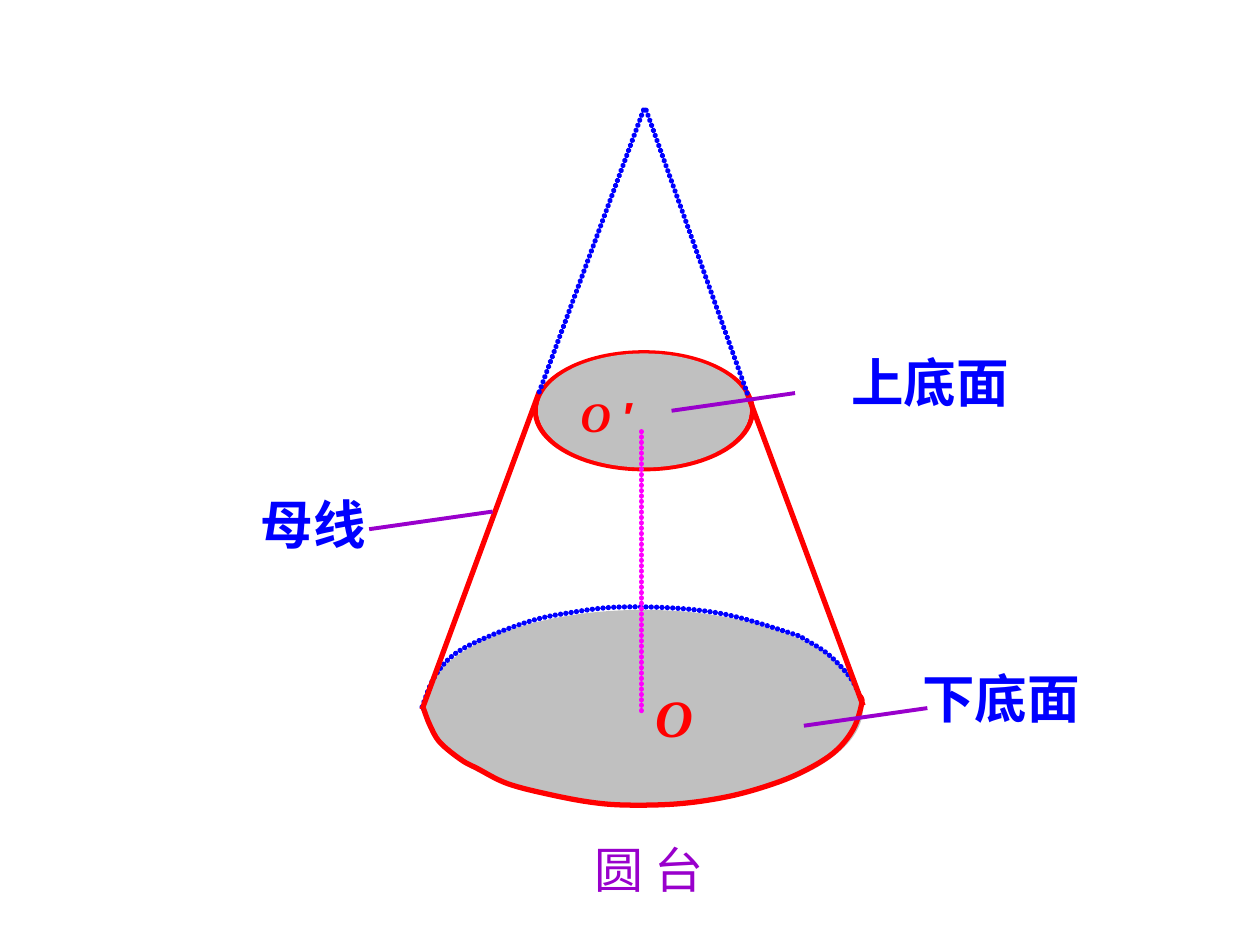
from lxml.etree import SubElement
from pptx import Presentation
from pptx.dml.color import RGBColor
from pptx.enum.shapes import MSO_CONNECTOR, MSO_SHAPE
from pptx.enum.text import MSO_AUTO_SIZE, PP_ALIGN
from pptx.oxml.ns import qn
from pptx.util import Inches, Pt

COLORS = {"red": "FF0000", "blue": "0000FF", "magenta": "FF00FF",
          "purple": "9900CC", "gray": "C0C0C0"}
COLS, ROWS = 100, 75


def smooth(sp):
    """Turn the segments of a freeform into Bezier curves through its points."""
    path = sp._element.find(".//" + qn("a:path"))
    pts = [(int(pt.get("x")), int(pt.get("y"))) for pt in path.iter(qn("a:pt"))]
    for segment in path.findall(qn("a:lnTo")):
        path.remove(segment)
    ends = [pts[0], *pts, pts[-1]]
    for a, b, c, d in zip(ends, ends[1:], ends[2:], ends[3:]):
        bezier = SubElement(path, qn("a:cubicBezTo"))
        leave = [q + (r - p) / 6 for p, q, r in zip(a, b, c)]
        arrive = [q - (r - p) / 6 for p, q, r in zip(b, c, d)]
        for x, y in (leave, arrive, c):
            SubElement(bezier, qn("a:pt"), x=str(round(x)), y=str(round(y)))


class Drawing:
    """Current slide and style; lengths are columns and rows of the grid."""

    font = "Times New Roman"

    def __init__(self, prs):
        self.slide = prs.slides.add_slide(prs.slide_layouts[6])
        self.shapes = self.slide.shapes
        self.col = prs.slide_width / COLS
        self.row = prs.slide_height / ROWS

    def place(self, x, y):
        return round(x * self.col), round(y * self.row)

    def style_line(self, sp, color, width=3, dotted=False):
        sp.line.color.rgb = RGBColor.from_string(COLORS[color])
        sp.line.width = Pt(width)
        if dotted:
            ln = sp.line._get_or_add_ln()
            ln.set("cap", "rnd")
            dash = SubElement(ln, qn("a:custDash"))
            SubElement(dash, qn("a:ds"), d="100000", sp="2000")

    def ellipse(self, x, y, w, h, fill=None, line=None):
        sp = self.shapes.add_shape(MSO_SHAPE.OVAL, *self.place(x, y), *self.place(w, h))
        sp.shadow.inherit = False
        if fill:
            sp.fill.solid()
            sp.fill.fore_color.rgb = RGBColor.from_string(COLORS[fill])
        else:
            sp.fill.background()
        if line:
            self.style_line(sp, line)
        else:
            sp.line.fill.background()

    def curve(self, anchors, color, dotted=False):
        start, *rest = [self.place(*pt) for pt in anchors]
        builder = self.shapes.build_freeform(*start)
        builder.add_line_segments(rest, close=False)
        sp = builder.convert_to_shape()
        smooth(sp)
        sp.shadow.inherit = False
        sp.fill.background()
        self.style_line(sp, color, dotted=dotted)

    def line(self, start, end, color, width=3, dotted=False):
        sp = self.shapes.add_connector(
            MSO_CONNECTOR.STRAIGHT, *self.place(*start), *self.place(*end))
        self.style_line(sp, color, width, dotted)
        SubElement(sp._element.spPr, qn("a:effectLst"))

    def leader(self, x, y):
        self.line((x, y), (x - 9.8, y + 1.4), "purple", 2.25)

    def text(self, x, y, w, h, runs, size, color, bold=True, italic=False, align=PP_ALIGN.LEFT):
        sp = self.shapes.add_textbox(*self.place(x, y), *self.place(w, h))
        tf = sp.text_frame
        tf.word_wrap = True
        tf.auto_size = MSO_AUTO_SIZE.SHAPE_TO_FIT_TEXT
        p = tf.paragraphs[0]
        p.alignment = align
        for words, font in runs:
            r = p.add_run()
            r.text = words
            r.font.name = font
            r.font.size = Pt(size)
            r.font.bold = bold
            r.font.italic = italic
            r.font.color.rgb = RGBColor.from_string(COLORS[color])


def main():
    prs = Presentation()
    prs.slide_width, prs.slide_height = Inches(10), Inches(7.5)
    s = Drawing(prs)

    # Upper and lower bases
    s.ellipse(42.5, 28, 17.2, 9.2, line="red")
    s.ellipse(42.7, 28.05, 16.8, 9.05, fill="gray")
    s.ellipse(33.6, 48.4, 34.9, 15.5, fill="gray")

    # Rim of the lower base: visible front, hidden back
    s.curve([(33.6, 56.2), (34.1, 57.5), (34.9, 58.9), (36.6, 60.3), (37.9, 61),
             (40.3, 62.2), (43.8, 63.1), (47.1, 63.7), (49.9, 63.9), (53.8, 63.8),
             (57.4, 63.3), (60.5, 62.5), (63.4, 61.4), (66.1, 59.8), (67.7, 57.9),
             (68.4, 55.8), (68.2, 55.2)], "red")
    s.curve([(33.5, 56.1), (34.5, 53.7), (36.1, 51.9), (38.8, 50.5), (42.4, 49.2),
             (45.4, 48.6), (48.6, 48.2), (52.4, 48.2), (56, 48.5), (59, 49.1),
             (63.2, 50.4), (63.8, 50.7), (65.7, 51.9), (67.5, 53.8), (68.3, 55.4)],
            "blue", dotted=True)

    # Sides, extended to the apex of the cone
    for foot, rim, apex in (((33.5, 56.3), (42.8, 31.1), (51.2, 8.4)),
                            ((68.5, 56), (59.3, 31.2), (51.2, 8.5))):
        s.line(foot, rim, "red")
        s.line(rim, apex, "blue", dotted=True)

    # Axis
    s.line((50.9, 56.4), (50.9, 33.9), "magenta", dotted=True)

    # Caption and centres
    s.text(29.1, 66.1, 44.8, 5.7, [("圆 台", s.font)], 28, "purple",
           bold=False, align=PP_ALIGN.CENTER)
    s.text(51, 53.9, 6.9, 6, [("O", s.font)], 30, "red", italic=True)
    s.text(45.1, 30.5, 17.8, 5, [("O ", s.font), ("′", "Arial")], 24, "red", italic=True)

    # Labels with leader lines
    for words, x, y, tip in (("上底面", 66.6, 27.3, (63.1, 31.2)),
                             ("下底面", 72.2, 52.4, (73.6, 56.2)),
                             ("母线", 19.7, 38.6, (39.1, 40.6))):
        s.text(x, y, 18.6, 6, [(words, s.font)], 30, "blue")
        s.leader(*tip)

    prs.save("out.pptx")


if __name__ == "__main__":
    main()
